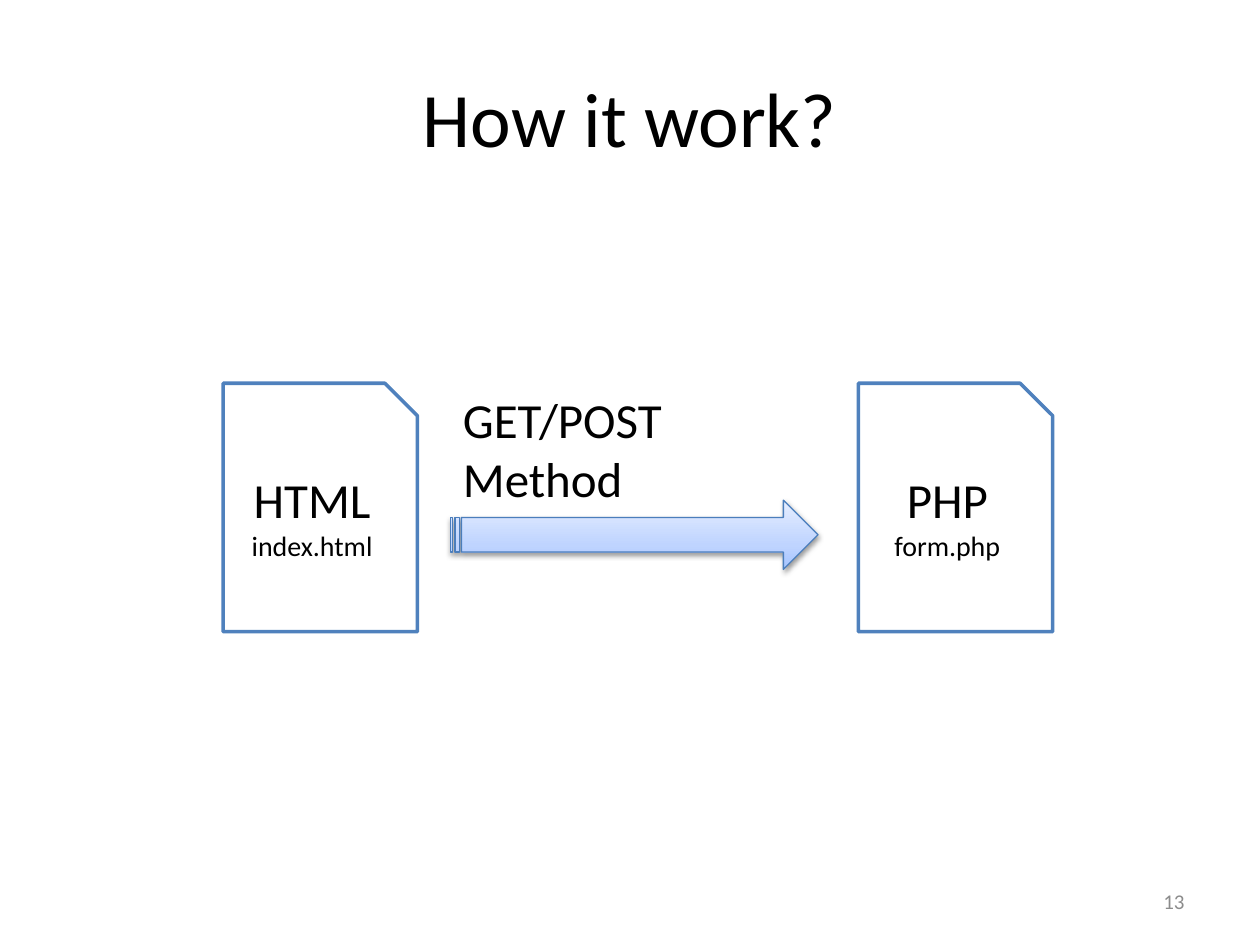
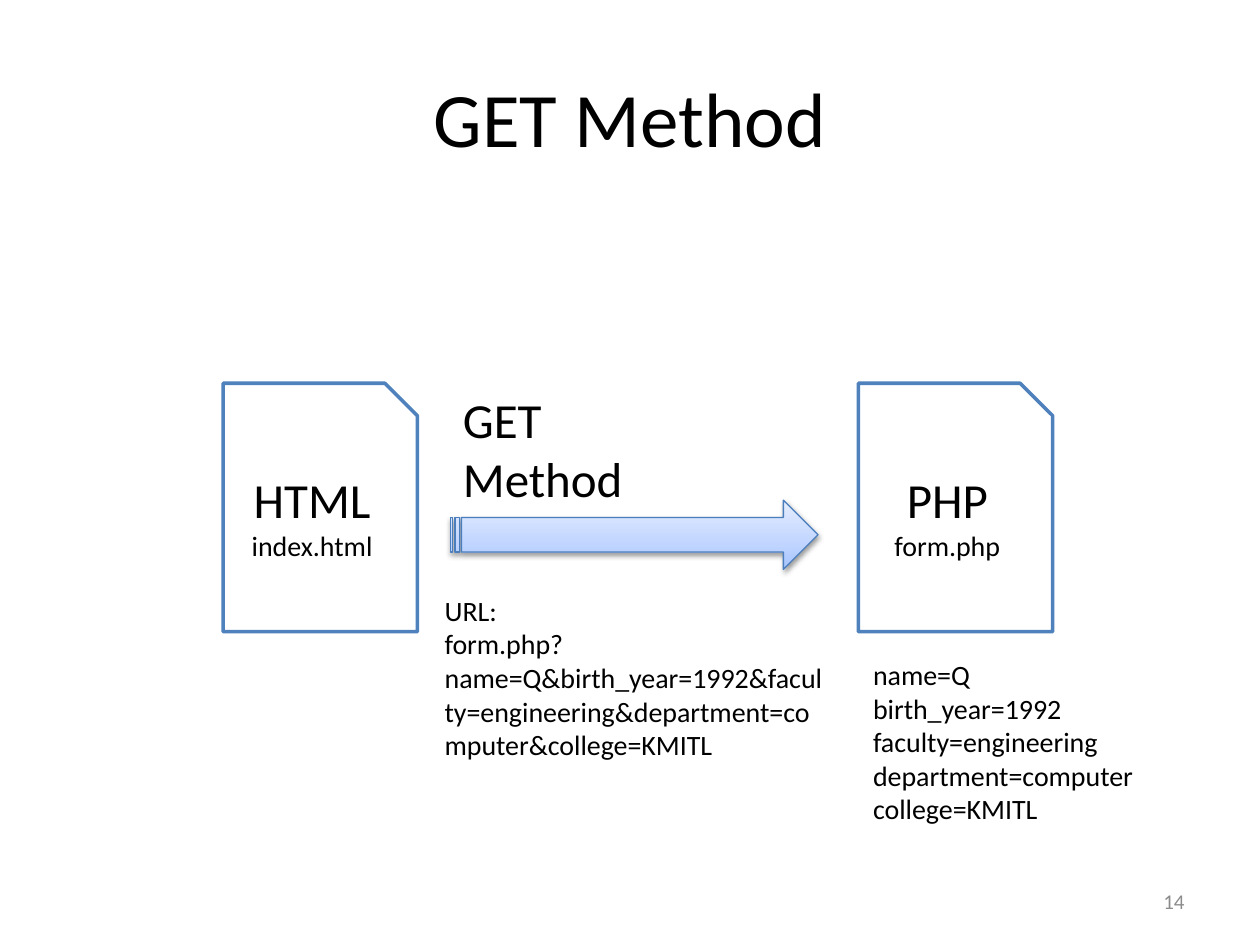
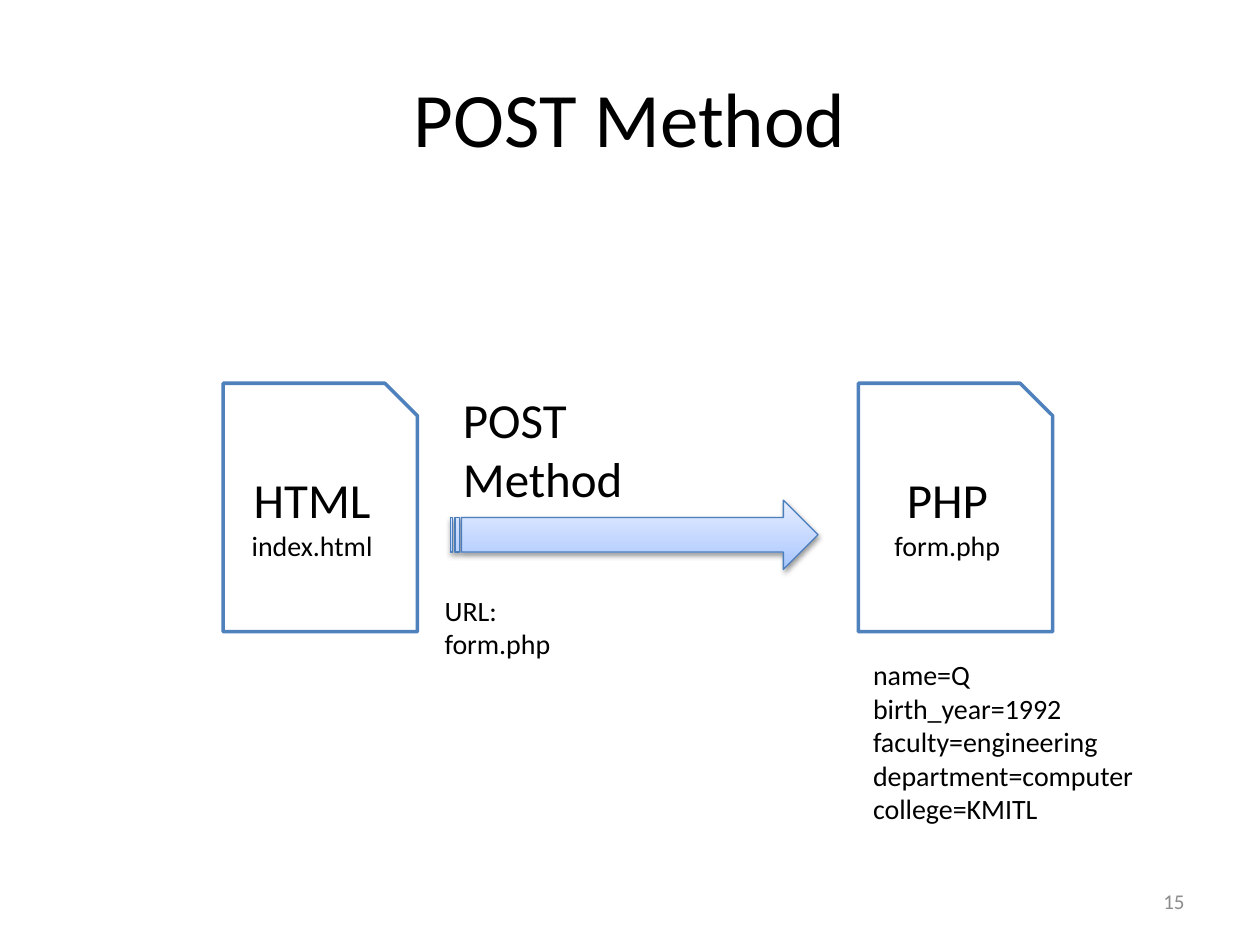
"""Build three slides on how an HTML form sends its data to PHP."""
from copy import deepcopy

from lxml.etree import SubElement
from pptx import Presentation
from pptx.dml.color import RGBColor
from pptx.enum.shapes import MSO_SHAPE as Preset
from pptx.enum.text import MSO_ANCHOR as Anchor, MSO_AUTO_SIZE as AutoSize, PP_ALIGN as Align
from pptx.oxml.ns import qn
from pptx.util import Pt

FIELDS = "name=Q\nbirth_year=1992\nfaculty=engineering\ndepartment=computer\ncollege=KMITL"
QUERY = "?name=Q&birth_year=1992&faculty=engineering&department=computer&college=KMITL"
SLIDES = [
    {"title": "How it work?", "method": "GET/POST"},
    {"title": "GET Method", "method": "GET", "url": "form.php" + QUERY, "url_height": 104.4},
    {"title": "POST Method", "method": "POST", "url": "form.php", "url_height": 46},
]
FILES = [("HTML", "index.html", 127.5), ("PHP", "form.php", 490.5)]
FIRST_NUMBER = 13

FONT = "Calibri"
COLORS = {"text": "000000", "number": "8C8C8C", "paper": "FFFFFF",
          "file_line": "4F81BD", "arrow_line": "4B7EBC", "shadow": "000000"}
ARROW_STOPS = [(0, "A4C4FF"), (0.35, "BFD4FF"), (1, "E6EEFF")]
SIZES = {"title": 44, "large": 28, "small": 16, "number": 12}

TITLE_BOX = (36, 21.6, 648, 90)
NUMBER_BOX = (516, 500.4, 168, 28.8)
FILE_TOP, FILE_WIDTH, FILE_HEIGHT = 219, 111, 142
ARROW_BOX = (257.5, 285.8, 210, 39.6)
METHOD_BOX = (257.5, 219, 210, 75)
URL_LEFT, URL_TOP, URL_WIDTH = 247, 335.5, 232.5
FIELDS_BOX = (491.8, 372.2, 180, 104.4)


def points(box):
    return [Pt(length) for length in box]


def write(shape, paragraphs, align=Align.LEFT, anchor=Anchor.TOP, color="text"):
    frame = shape.text_frame
    frame.word_wrap = True
    frame.vertical_anchor = anchor
    for index, runs in enumerate(paragraphs):
        paragraph = frame.add_paragraph() if index else frame.paragraphs[0]
        paragraph.alignment = align
        for text, size in runs:
            add_lines(paragraph, text, size, color)


def add_lines(paragraph, text, size, color):
    for index, line in enumerate(text.split("\n")):
        if index:
            paragraph.add_line_break()
            paragraph._p[-1].append(deepcopy(run.font._element))
        if line or not index:
            run = paragraph.add_run()
            run.text = line
            run.font.name = FONT
            run.font.size = Pt(SIZES[size])
            run.font.color.rgb = RGBColor.from_string(COLORS[color])


def add_text(slide, box, paragraphs, grow=False, **style):
    shape = slide.shapes.add_textbox(*points(box))
    write(shape, paragraphs, **style)
    shape.text_frame.auto_size = AutoSize.SHAPE_TO_FIT_TEXT if grow else AutoSize.NONE


def add_preset(slide, preset, box, line_color, line_width):
    shape = slide.shapes.add_shape(preset, *points(box))
    shape.shadow.inherit = False
    shape.line.color.rgb = RGBColor.from_string(COLORS[line_color])
    shape.line.width = Pt(line_width)
    return shape


def add_file(slide, kind, name, left):
    box = (left, FILE_TOP, FILE_WIDTH, FILE_HEIGHT)
    shape = add_preset(slide, Preset.SNIP_1_RECTANGLE, box, "file_line", 2)
    shape.fill.solid()
    shape.fill.fore_color.rgb = RGBColor.from_string(COLORS["paper"])
    write(shape, [[(kind + "\n", "large"), (name, "small")]], Align.CENTER, Anchor.MIDDLE)


def add_arrow(slide):
    arrow = add_preset(slide, Preset.STRIPED_RIGHT_ARROW, ARROW_BOX, "arrow_line", 0.75)
    arrow.fill.gradient()
    arrow.fill.gradient_angle = 90
    properties = arrow._element.spPr
    stops = properties.find(qn("a:gradFill")).find(qn("a:gsLst"))
    stops.append(deepcopy(stops[-1]))
    for stop, (position, color) in zip(arrow.fill.gradient_stops, ARROW_STOPS):
        stop.position = position
        stop.color.rgb = RGBColor.from_string(color)
    shadow = SubElement(properties.find(qn("a:effectLst")), qn("a:outerShdw"),
                        blurRad=str(Pt(3.1)), dist=str(Pt(1.6)), dir="5400000", rotWithShape="0")
    color = SubElement(shadow, qn("a:srgbClr"), val=COLORS["shadow"])
    SubElement(color, qn("a:alpha"), val="38000")


def add_slide(presentation, number, content):
    slide = presentation.slides.add_slide(presentation.slide_layouts[6])
    add_text(slide, TITLE_BOX, [[(content["title"], "title")]],
             align=Align.CENTER, anchor=Anchor.MIDDLE)
    add_text(slide, NUMBER_BOX, [[(str(number), "number")]],
             align=Align.RIGHT, anchor=Anchor.MIDDLE, color="number")
    for kind, name, left in FILES:
        add_file(slide, kind, name, left)
    add_arrow(slide)
    add_text(slide, METHOD_BOX, [[(content["method"] + "\nMethod", "large")]], grow=True)
    if "url" in content:
        url_box = (URL_LEFT, URL_TOP, URL_WIDTH, content["url_height"])
        add_text(slide, url_box, [[("URL:", "small")], [(content["url"], "small")]], grow=True)
        add_text(slide, FIELDS_BOX, [[(FIELDS, "small")]], grow=True)


def main():
    presentation = Presentation()
    presentation.slide_width, presentation.slide_height = Pt(720), Pt(540)
    for number, content in enumerate(SLIDES, FIRST_NUMBER):
        add_slide(presentation, number, content)
    presentation.save("out.pptx")


if __name__ == "__main__":
    main()
